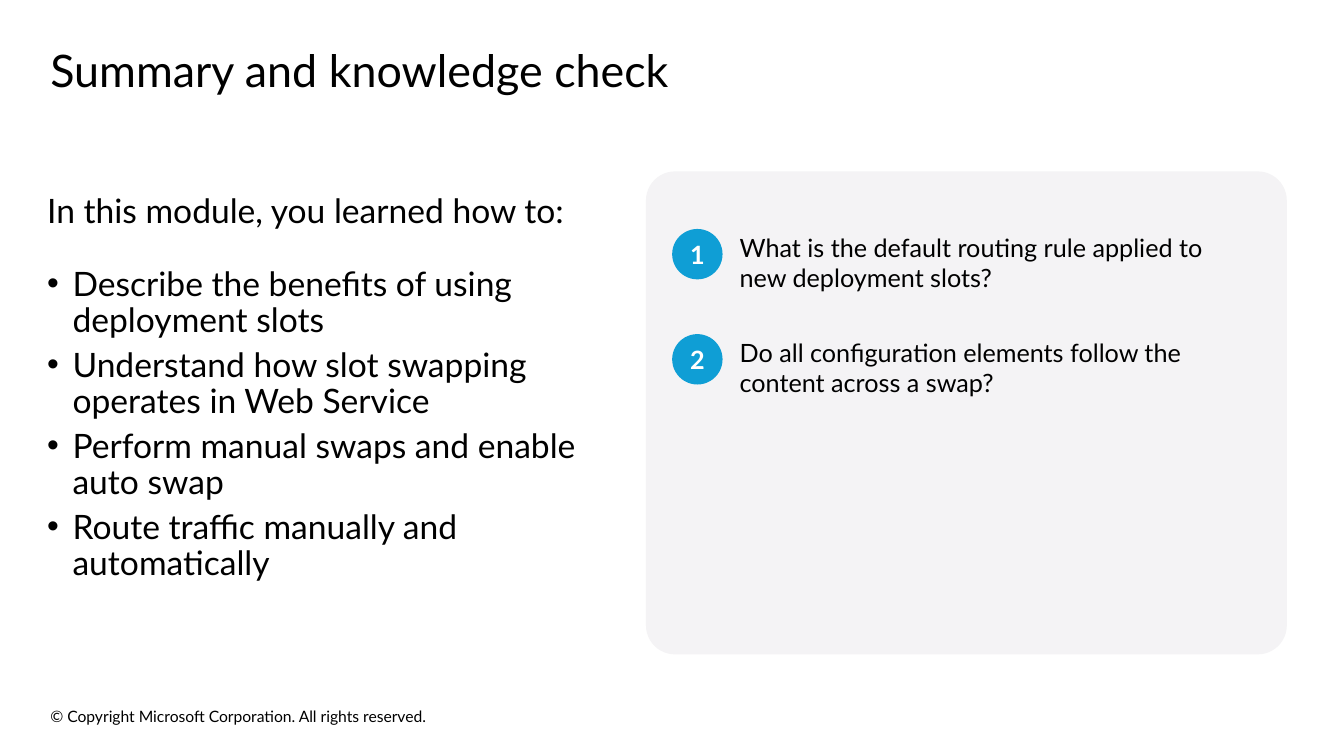
from lxml.etree import SubElement
from pptx import Presentation
from pptx.dml.color import RGBColor
from pptx.enum.shapes import MSO_SHAPE
from pptx.enum.text import MSO_ANCHOR, PP_ALIGN
from pptx.oxml.ns import qn
from pptx.util import Cm, Pt

# Content
TITLE = "Summary and knowledge check"
INTRO = "In this module, you learned how to:"
LEARNED = [
    "Describe the benefits of using deployment slots",
    "Understand how slot swapping operates in Web Service",
    "Perform manual swaps and enable auto swap",
    "Route traffic manually and automatically",
]
QUESTIONS = [
    "What is the default routing rule applied to new deployment slots?",
    "Do all configuration elements follow the content across a swap?",
]
COPYRIGHT = "© Copyright Microsoft Corporation. All rights reserved."


class Theme:
    font = "Lato"
    ink = RGBColor(0x00, 0x00, 0x00)
    panel = RGBColor(0xF4, 0xF3, 0xF5)
    accent = RGBColor(0x0F, 0x9E, 0xD5)
    light = RGBColor(0xFF, 0xFF, 0xFF)
    title, body, question, footer = Pt(32), Pt(24), Pt(18), Pt(11.2)


# Layout in centimetres
PANEL = (16.28, 4.32, 16.15, 12.17)
BADGE_LEFT, BADGE_TOP, BADGE_SIZE = 16.94, 5.77, 1.27
QUESTION_LEFT, QUESTION_DROP, QUESTION_PITCH = 18.64, 0.08, 2.65
BULLET_INDENT = Cm(0.64)


def set_all(target, values):
    for name, value in values.items():
        setattr(target, name, value)


def write(para, text, size, color=Theme.ink, bold=False, **layout):
    set_all(para, layout)
    span = para.add_run()
    span.text = text
    set_all(span.font, {"name": Theme.font, "size": size, "bold": bold})
    span.font.color.rgb = color


def add_box(page, place):
    frame = page.shapes.add_textbox(*map(Cm, place)).text_frame
    set_all(frame, {"word_wrap": True, "margin_left": 0, "margin_right": 0,
                    "margin_top": 0, "margin_bottom": 0})
    return frame


def add_filled(page, kind, place, color):
    shape = page.shapes.add_shape(kind, *map(Cm, place))
    shape.shadow.inherit = False
    shape.fill.solid()
    shape.fill.fore_color.rgb = color
    shape.line.fill.background()
    return shape


def add_bullet(para):
    properties = para._p.get_or_add_pPr()
    properties.set("marL", str(BULLET_INDENT))
    properties.set("indent", str(-BULLET_INDENT))
    SubElement(properties, qn("a:buFont")).set("typeface", "Arial")
    SubElement(properties, qn("a:buChar")).set("char", "•")


def main():
    deck = Presentation()
    set_all(deck, {"slide_width": Cm(33.87), "slide_height": Cm(19.05)})
    page = deck.slides.add_slide(deck.slide_layouts[6])

    # Footer and panel
    footer = add_box(page, (1.27, 17.81, 10.31, 0.48))
    write(footer.paragraphs[0], COPYRIGHT, Theme.footer)
    panel = add_filled(page, MSO_SHAPE.ROUNDED_RECTANGLE, PANEL, Theme.panel)
    panel.adjustments[0] = 0.06

    # Title
    title = add_box(page, (1.27, 1.14, 31.17, 1.42))
    title.vertical_anchor = MSO_ANCHOR.MIDDLE
    write(title.paragraphs[0], TITLE, Theme.title, line_spacing=0.9)

    # Learned points
    body = add_box(page, (1.19, 4.9, 13.94, 10.44))
    write(body.paragraphs[0], INTRO, Theme.body,
          line_spacing=0.9, space_after=Pt(26))
    for point in LEARNED:
        para = body.add_paragraph()
        add_bullet(para)
        write(para, point, Theme.body, line_spacing=0.9, space_after=Pt(6))

    # Numbered questions
    for index, question in enumerate(QUESTIONS):
        top = BADGE_TOP + index * QUESTION_PITCH
        badge = add_filled(page, MSO_SHAPE.OVAL,
                           (BADGE_LEFT, top, BADGE_SIZE, BADGE_SIZE), Theme.accent)
        badge.text_frame.vertical_anchor = MSO_ANCHOR.MIDDLE
        write(badge.text_frame.paragraphs[0], str(index + 1), Theme.question,
              Theme.light, bold=True, alignment=PP_ALIGN.CENTER)
        box = add_box(page, (QUESTION_LEFT, top + QUESTION_DROP, 12.98, 1.75))
        write(box.paragraphs[0], question, Theme.question, space_after=Pt(6))

    deck.save("out.pptx")


if __name__ == "__main__":
    main()
